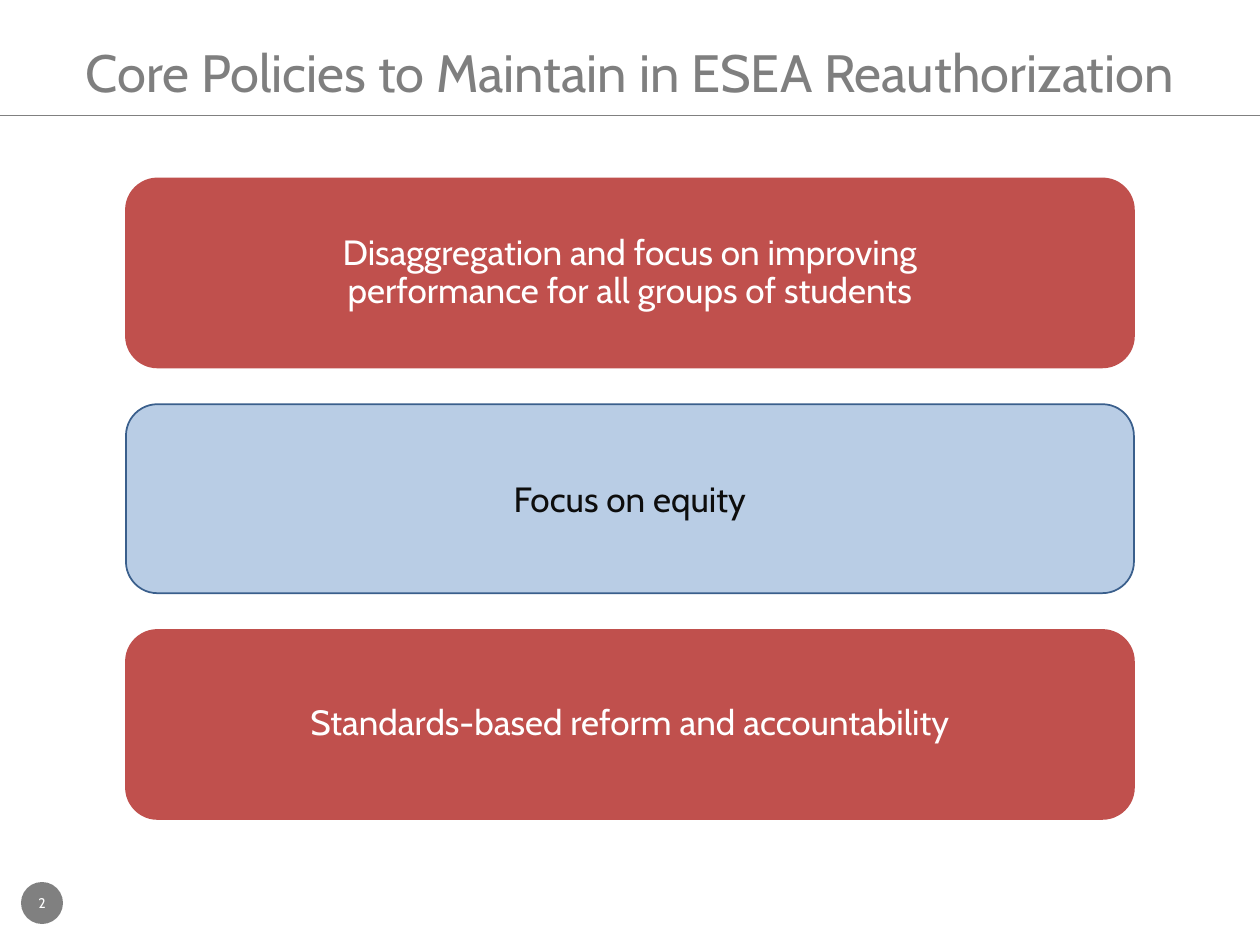
"""Build a slide listing the core policies to maintain in ESEA reauthorization."""
from lxml import etree
from pptx import Presentation
from pptx import util as u
from pptx.dml.color import RGBColor
from pptx.enum import shapes, text
from pptx.oxml.ns import qn

FONT = "Cabin"
GRAY, WHITE, RED = "808080", "FFFFFF", "C0504D"
CARD_LEFT, CARD_TOP, CARD_WIDTH, CARD_HEIGHT, CARD_PITCH = 72, 102, 576, 108, 129
CARDS = [
    ("Disaggregation and focus on improving\vperformance for all groups of students",
     RED, RED, WHITE, 0.9, 7),
    ("Focus on equity", "B9CDE5", "3A5F8C", "0D0D0D", 1, 0),
    ("Standards-based reform and accountability", RED, RED, WHITE, 0.9, 7),
]


def color(hex_string):
    """Return the colour for a hex string."""
    return RGBColor.from_string(hex_string)


def write_text(shape, words, size, font_color, anchor=text.MSO_ANCHOR.MIDDLE):
    """Fill a shape with one centred, formatted paragraph and return it."""
    frame = shape.text_frame
    frame.text = words
    frame.word_wrap = True
    frame.auto_size = text.MSO_AUTO_SIZE.NONE
    frame.vertical_anchor = anchor
    paragraph = frame.paragraphs[0]
    paragraph.alignment = text.PP_ALIGN.CENTER
    for run in paragraph.runs:
        run.font.name = FONT
        run.font.size = u.Pt(size)
        run.font.color.rgb = color(font_color)
    return paragraph


def set_margins(shape, left, top, right, bottom):
    """Set the text margins of a shape in points."""
    frame = shape.text_frame
    frame.margin_left, frame.margin_top = u.Pt(left), u.Pt(top)
    frame.margin_right, frame.margin_bottom = u.Pt(right), u.Pt(bottom)


def add_filled_shape(slide, kind, left, top, width, height, fill, line=None):
    """Add a flat preset shape, outlined only when a line colour is given."""
    shape = slide.shapes.add_shape(kind, u.Pt(left), u.Pt(top), u.Pt(width), u.Pt(height))
    shape.shadow.inherit = False
    shape.fill.solid()
    shape.fill.fore_color.rgb = color(fill)
    if line:
        shape.line.color.rgb = color(line)
        shape.line.width = u.Pt(1)
    else:
        shape.line.fill.background()
    return shape


def add_title(slide, words):
    """Place and format the title placeholder."""
    title = slide.shapes.title
    title.left, title.top = u.Pt(0), u.Pt(12)
    title.width, title.height = u.Pt(720), u.Pt(54)
    write_text(title, words, 30, "7F7F7F", text.MSO_ANCHOR.BOTTOM)
    set_margins(title, 7.2, 3.6, 7.2, 7.2)


def add_rule(slide, top):
    """Draw a thin rule across the slide."""
    rule = slide.shapes.add_connector(
        shapes.MSO_CONNECTOR.STRAIGHT, u.Pt(0), u.Pt(top), u.Pt(720), u.Pt(top))
    rule.line.color.rgb = color(GRAY)
    rule.line.width = u.Pt(0.75)
    etree.SubElement(rule.element.spPr, qn("a:effectLst"))


def add_page_badge(slide, number):
    """Add the round page number badge."""
    badge = add_filled_shape(slide, shapes.MSO_SHAPE.OVAL, 12, 504, 24, 24, GRAY)
    write_text(badge, number, 8, WHITE)
    set_margins(badge, 3.6, 3.6, 3.6, 3.6)


def add_card(slide, top, words, fill, line, font_color, line_spacing, space_after):
    """Add one rounded policy card."""
    card = add_filled_shape(slide, shapes.MSO_SHAPE.ROUNDED_RECTANGLE,
                            CARD_LEFT, top, CARD_WIDTH, CARD_HEIGHT, fill, line)
    paragraph = write_text(card, words, 20, font_color)
    paragraph.line_spacing = line_spacing
    paragraph.space_after = u.Pt(space_after)


def main():
    """Build and save the slide."""
    presentation = Presentation()
    presentation.slide_width, presentation.slide_height = u.Pt(720), u.Pt(540)
    slide = presentation.slides.add_slide(presentation.slide_layouts[5])
    add_rule(slide, 66)
    add_page_badge(slide, "2")
    add_title(slide, "Core Policies to Maintain in ESEA Reauthorization")
    for index, card in enumerate(CARDS):
        add_card(slide, CARD_TOP + index * CARD_PITCH, *card)
    presentation.save("out.pptx")


if __name__ == "__main__":
    main()
